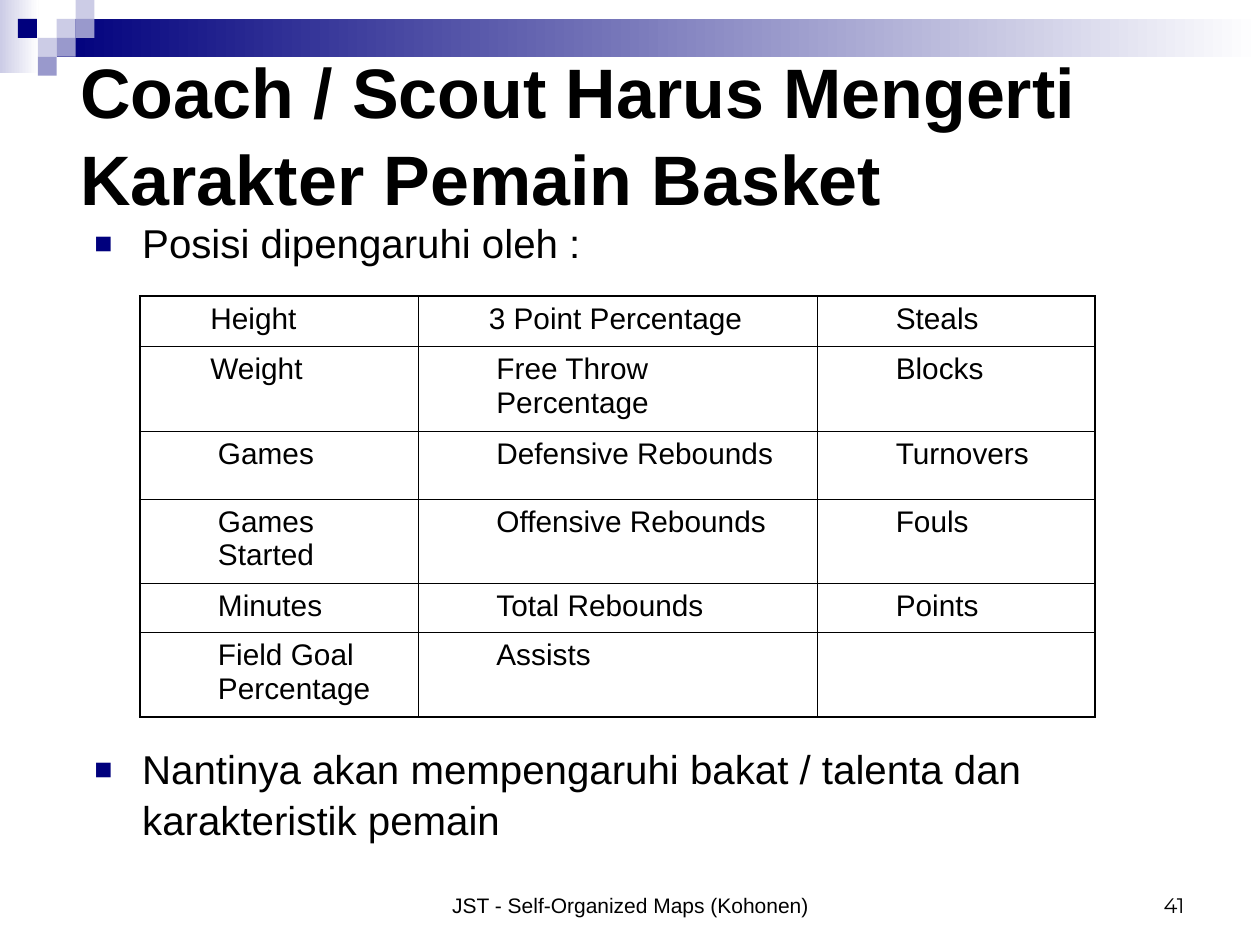
from typing import NamedTuple

from lxml import etree
from pptx import Presentation
from pptx.dml.color import RGBColor
from pptx.enum.shapes import MSO_SHAPE
from pptx.enum.text import MSO_ANCHOR, PP_ALIGN
from pptx.oxml.ns import qn
from pptx.util import Inches, Pt

RECTANGLE = MSO_SHAPE.RECTANGLE
TOP, MIDDLE, BOTTOM = MSO_ANCHOR.TOP, MSO_ANCHOR.MIDDLE, MSO_ANCHOR.BOTTOM
LEFT, CENTER, RIGHT = PP_ALIGN.LEFT, PP_ALIGN.CENTER, PP_ALIGN.RIGHT

BLACK, WHITE = "000000", "FFFFFF"
NAVY, LAVENDER, PERIWINKLE = "00007D", "CCCCE6", "9999CC"
UNIT = 0.15  # side of one decorative square, in inches
BULLET_INDENT = 0.38
BULLET_GAP = 272  # points left for the table between the two bullets
LINE_SPACING = 1.04
OUTER_BORDER, INNER_BORDER = 1.08, 0.45
CELL_INDENT, NARROW_CELL_INDENT = 0.52, 0.46
NARROW_CELLS = {(0, 0), (0, 1), (1, 0)}


class Block(NamedTuple):
    """A rectangle on the decorative grid, fading to white if asked."""
    column: float
    row: float
    columns: float
    rows: float
    color: str
    fades: bool = False


class Label(NamedTuple):
    left: float
    top: float
    width: float
    height: float
    paragraphs: tuple[str, ...]
    size: float
    font: str = "Arial"
    bold: bool = False
    anchor: MSO_ANCHOR = TOP
    align: PP_ALIGN = LEFT
    line_spacing: float = 1.0


BLOCKS = [
    Block(0, 0, 2.05, 3.85, LAVENDER, fades=True),
    Block(3, 1, 63.67, 2, NAVY, fades=True),
    Block(3, 1, 1, 1, LAVENDER),
    Block(4, 0, 1, 1, LAVENDER),
    Block(4, 1, 1, 1, PERIWINKLE),
    Block(2, 2, 1, 1, LAVENDER),
    Block(0.95, 1, 1, 1, NAVY),
    Block(3, 2, 1, 1, PERIWINKLE),
    Block(2, 3, 1, 1, PERIWINKLE),
]

FOOTER = Label(3.42, 6.83, 3.17, 0.5, ("JST - Self-Organized Maps (Kohonen)",), 12,
               anchor=BOTTOM, align=CENTER)
PAGE_NUMBER = Label(7.17, 6.83, 2.33, 0.5, ("41",), 12, font="Montserrat",
                    anchor=BOTTOM, align=RIGHT)
TITLE = Label(0.54, 0.55, 9, 1, ("Coach / Scout Harus Mengerti Karakter Pemain Basket",), 40,
              bold=True, anchor=MIDDLE, line_spacing=LINE_SPACING)
BODY = Label(0.65, 1.67, 8.81, 5.26,
             ("Posisi dipengaruhi oleh :",
              "Nantinya akan mempengaruhi bakat / talenta dan karakteristik pemain"),
             23, line_spacing=LINE_SPACING)

COLUMN_WIDTHS = [2.21, 3.17, 2.2]
ROW_HEIGHTS = [0.4, 0.67, 0.54, 0.67, 0.39, 0.67]
STATISTICS = [
    ["Height", "3 Point Percentage", "Steals"],
    ["Weight", "Free Throw Percentage", "Blocks"],
    ["Games", "Defensive Rebounds", "Turnovers"],
    ["Games Started", "Offensive Rebounds", "Fouls"],
    ["Minutes", "Total Rebounds", "Points"],
    ["Field Goal Percentage", "Assists", ""],
]


def rgb(color: str) -> RGBColor:
    return RGBColor.from_string(color)


def set_font(paragraph, size: float, name: str = "Arial", bold: bool = False) -> None:
    font = paragraph.font
    font.size, font.name, font.bold = Pt(size), name, bold
    font.color.rgb = rgb(BLACK)


def draw_block(slide, block: Block) -> None:
    shape = slide.shapes.add_shape(
        RECTANGLE, *(Inches(UNIT * length) for length in block[:4]))
    shape.shadow.inherit = False
    shape.line.fill.background()
    if not block.fades:
        shape.fill.solid()
        shape.fill.fore_color.rgb = rgb(block.color)
        return
    shape.fill.gradient()
    shape.fill.gradient_angle = 0
    for stop, color in zip(shape.fill.gradient_stops, (block.color, WHITE)):
        stop.color.rgb = rgb(color)


def draw_label(slide, label: Label):
    box = slide.shapes.add_textbox(*(Inches(length) for length in label[:4]))
    text_frame = box.text_frame
    text_frame.word_wrap = True
    text_frame.vertical_anchor = label.anchor
    text_frame.text = "\n".join(label.paragraphs)
    for paragraph in text_frame.paragraphs:
        paragraph.alignment = label.align
        paragraph.line_spacing = label.line_spacing
        set_font(paragraph, label.size, label.font, label.bold)
    return text_frame


def add_bullet(paragraph) -> None:
    """Put a small navy square in a hanging indent before the paragraph."""
    properties = paragraph._p.get_or_add_pPr()
    properties.set("marL", str(Inches(BULLET_INDENT)))
    properties.set("indent", str(-Inches(BULLET_INDENT)))
    color = etree.SubElement(properties, qn("a:buClr"))
    etree.SubElement(color, qn("a:srgbClr"), val=NAVY)
    etree.SubElement(properties, qn("a:buSzPct"), val="75000")
    etree.SubElement(properties, qn("a:buFont"), typeface="Arial")
    etree.SubElement(properties, qn("a:buChar"), char="■")


def draw_body(slide) -> None:
    text_frame = draw_label(slide, BODY._replace(paragraphs=("",)))
    for index, text in enumerate(BODY.paragraphs):
        paragraph = text_frame.add_paragraph() if index else text_frame.paragraphs[0]
        paragraph.text = text
        paragraph.line_spacing = BODY.line_spacing
        if index:
            paragraph.space_before = Pt(BULLET_GAP)
        for run_properties in paragraph._p.findall(qn("a:pPr") + "/" + qn("a:defRPr")):
            run_properties.getparent().remove(run_properties)
        add_bullet(paragraph)
        set_font(paragraph, BODY.size)


def set_borders(cell, outer_sides: dict[str, bool]) -> None:
    """Draw the four cell borders, heavier on the sides marked as outer."""
    properties = cell._tc.get_or_add_tcPr()
    for position, (side, outer) in enumerate(outer_sides.items()):
        width = Pt(OUTER_BORDER if outer else INNER_BORDER)
        line = etree.Element(qn(f"a:ln{side}"), w=str(width))
        fill = etree.SubElement(line, qn("a:solidFill"))
        etree.SubElement(fill, qn("a:srgbClr"), val=BLACK)
        properties.insert(position, line)


def draw_table(slide) -> None:
    row_count, column_count = len(ROW_HEIGHTS), len(COLUMN_WIDTHS)
    table = slide.shapes.add_table(
        row_count, column_count, Inches(1.11), Inches(2.35),
        Inches(sum(COLUMN_WIDTHS)), Inches(sum(ROW_HEIGHTS))).table
    table.first_row = table.horz_banding = False
    for column, width in zip(table.columns, COLUMN_WIDTHS):
        column.width = Inches(width)
    for row, height in zip(table.rows, ROW_HEIGHTS):
        row.height = Inches(height)
    for r, texts in enumerate(STATISTICS):
        for c, text in enumerate(texts):
            cell = table.cell(r, c)
            cell.fill.background()
            set_borders(cell, {"L": c == 0, "R": c == column_count - 1,
                               "T": r == 0, "B": r == row_count - 1})
            cell.text_frame.text = text
            paragraph = cell.text_frame.paragraphs[0]
            indent = NARROW_CELL_INDENT if (r, c) in NARROW_CELLS else CELL_INDENT
            paragraph._p.get_or_add_pPr().set("marL", str(Inches(indent)))
            set_font(paragraph, 17)


def main() -> None:
    presentation = Presentation()
    presentation.slide_width, presentation.slide_height = Inches(10), Inches(7.5)
    slide = presentation.slides.add_slide(presentation.slide_layouts[6])
    for block in BLOCKS:
        draw_block(slide, block)
    for label in (FOOTER, PAGE_NUMBER, TITLE):
        draw_label(slide, label)
    draw_body(slide)
    draw_table(slide)
    presentation.save("out.pptx")


if __name__ == "__main__":
    main()
